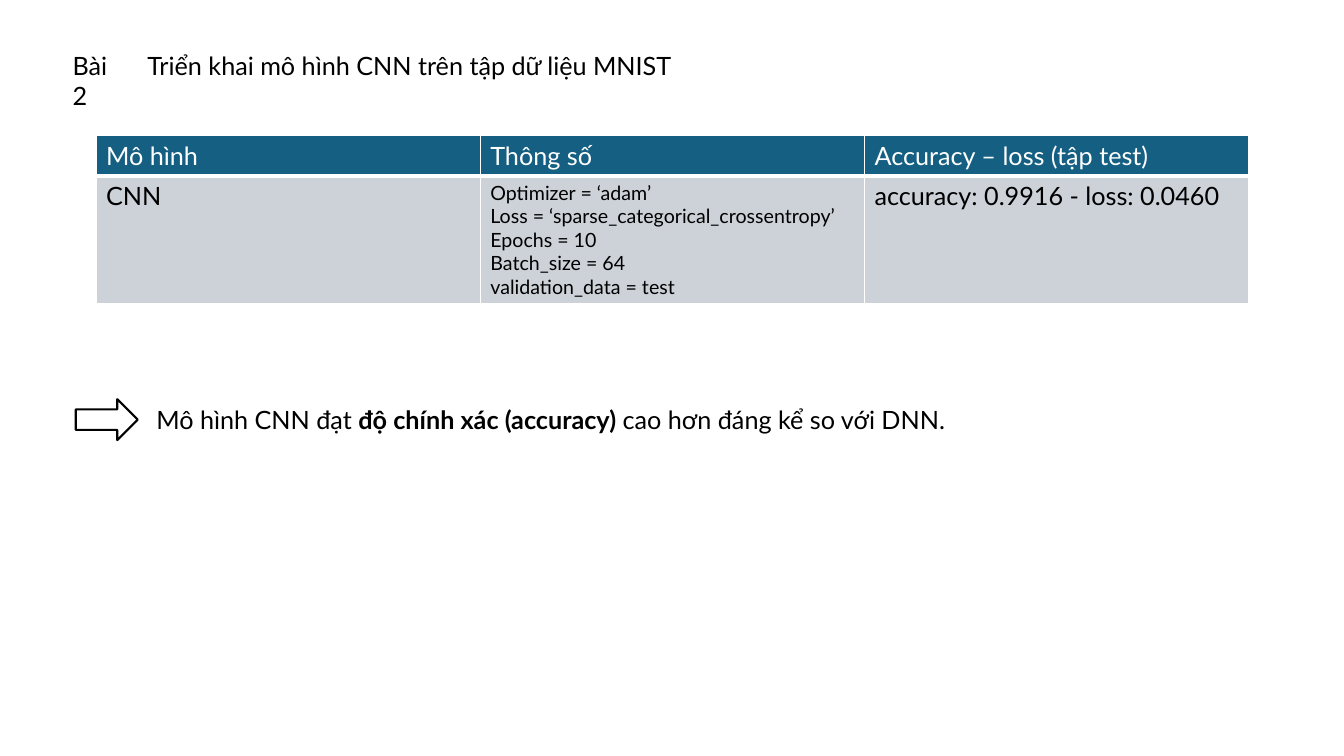
from dataclasses import dataclass

from lxml.etree import SubElement
from pptx import Presentation
from pptx.dml.color import RGBColor
from pptx.enum.shapes import MSO_SHAPE as Shape
from pptx.enum.text import MSO_ANCHOR as Anchor, MSO_AUTO_SIZE as AutoSize, PP_ALIGN as Align
from pptx.oxml.ns import qn
from pptx.util import Cm, Pt


@dataclass(frozen=True)
class Theme:
    font: str = "Lato"
    black: str = "000000"
    white: str = "FFFFFF"
    header: str = "156082"
    row: str = "CCD2D8"
    body_size: int = 18
    detail_size: int = 14
    outline: float = 1.5
    border: int = 1
    header_border: int = 3


THEME = Theme()

HEADINGS = ["Mô hình", "Thông số", "Accuracy – loss (tập test)"]
PARAMETERS = [
    "Optimizer = ‘adam’",
    "Loss = ‘sparse_categorical_crossentropy’",
    "Epochs = 10",
    "Batch_size = 64",
    "validation_data = test",
]
CONCLUSION = [
    ("Mô hình CNN đạt ", False),
    ("độ chính xác (accuracy)", True),
    (" cao hơn đáng kể so với DNN.", False),
]


def rgb(color):
    return RGBColor.from_string(color)


def style_text(frame, color=THEME.black, size=THEME.body_size):
    for paragraph in frame.paragraphs:
        paragraph.alignment = Align.LEFT
        paragraph.font.name = THEME.font
        paragraph.font.size = Pt(size)
        paragraph.font.color.rgb = rgb(color)


def set_title(slide, text, left, top, width, height):
    title = slide.shapes.title
    title.left, title.top, title.width, title.height = left, top, width, height
    frame = title.text_frame
    frame.text = text
    frame.auto_size = AutoSize.NONE
    frame.vertical_anchor = Anchor.TOP
    style_text(frame)


def add_text(slide, runs, left, top, width, height):
    """Add one wrapped line of text from (text, bold) pairs."""
    frame = slide.shapes.add_textbox(left, top, width, height).text_frame
    frame.word_wrap = True
    for text, bold in runs:
        run = frame.paragraphs[0].add_run()
        run.text = text
        if bold:
            run.font.bold = True
    style_text(frame)


def add_arrow(slide, left, top, width, height):
    arrow = slide.shapes.add_shape(Shape.RIGHT_ARROW, left, top, width, height)
    arrow.shadow.inherit = False
    arrow.fill.solid()
    arrow.fill.fore_color.rgb = rgb(THEME.white)
    arrow.line.color.rgb = rgb(THEME.black)
    arrow.line.width = Pt(THEME.outline)


def set_borders(cell, bottom):
    properties = cell._tc.get_or_add_tcPr()
    widths = {"lnL": THEME.border, "lnR": THEME.border, "lnT": THEME.border, "lnB": bottom}
    for side, width in widths.items():
        line = SubElement(properties, qn(f"a:{side}"), w=str(Pt(width)))
        fill = SubElement(line, qn("a:solidFill"))
        SubElement(fill, qn("a:srgbClr"), val=THEME.white)


def fill_cell(cell, text, fill, color=THEME.black, size=THEME.body_size, bottom=THEME.border):
    set_borders(cell, bottom)
    cell.fill.solid()
    cell.fill.fore_color.rgb = rgb(fill)
    cell.text_frame.text = text
    style_text(cell.text_frame, color, size)


def add_results_table(slide, left, top, width, row_heights):
    table = slide.shapes.add_table(
        len(row_heights), len(HEADINGS), left, top, width, sum(row_heights)
    ).table
    for row, height in zip(table.rows, row_heights):
        row.height = height
    for column, heading in enumerate(HEADINGS):
        fill_cell(table.cell(0, column), heading, THEME.header, THEME.white,
                  bottom=THEME.header_border)
    fill_cell(table.cell(1, 0), "CNN", THEME.row)
    fill_cell(table.cell(1, 1), "\n".join(PARAMETERS), THEME.row, size=THEME.detail_size)
    fill_cell(table.cell(1, 2), "accuracy: 0.9916 - loss: 0.0460", THEME.row)


def main():
    deck = Presentation()
    deck.slide_width, deck.slide_height = Cm(33.87), Cm(19.05)
    slide = deck.slides.add_slide(deck.slide_layouts.get_by_name("Title Only"))

    line_height = Cm(1.03)
    heading_top, conclusion_top = Cm(1.14), Cm(10.06)
    add_text(slide, [("Bài 2", False)], Cm(1.58), heading_top, Cm(1.8), line_height)
    set_title(slide, "Triển khai mô hình CNN trên tập dữ liệu MNIST",
              Cm(3.46), heading_top, Cm(23.32), line_height)
    add_results_table(slide, Cm(2.42), Cm(3.41), Cm(29.05), [Cm(1.02), Cm(3.22)])
    add_arrow(slide, Cm(1.91), conclusion_top, Cm(1.56), line_height)
    add_text(slide, CONCLUSION, Cm(3.69), conclusion_top, Cm(21.59), line_height)

    deck.save("out.pptx")


if __name__ == "__main__":
    main()
